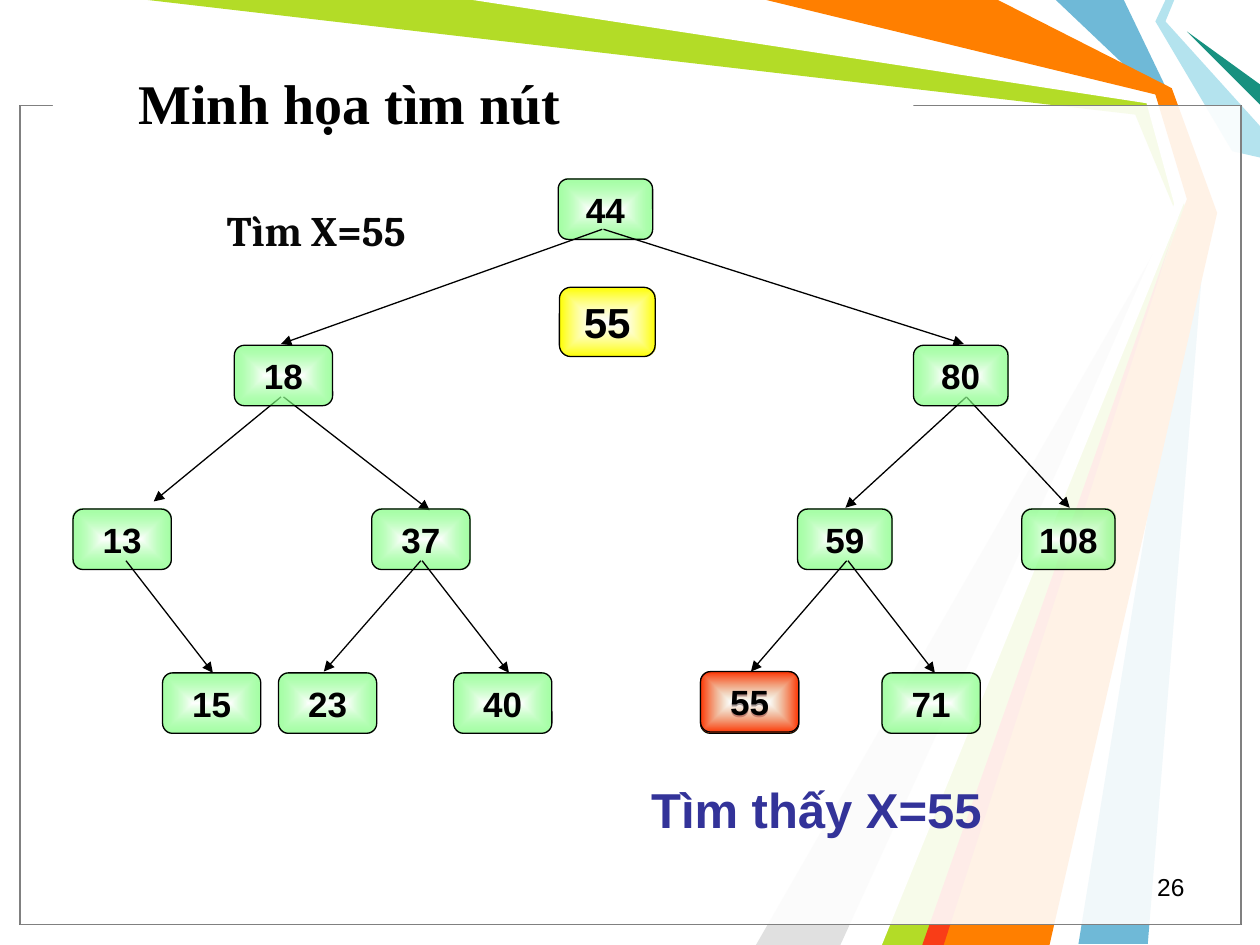
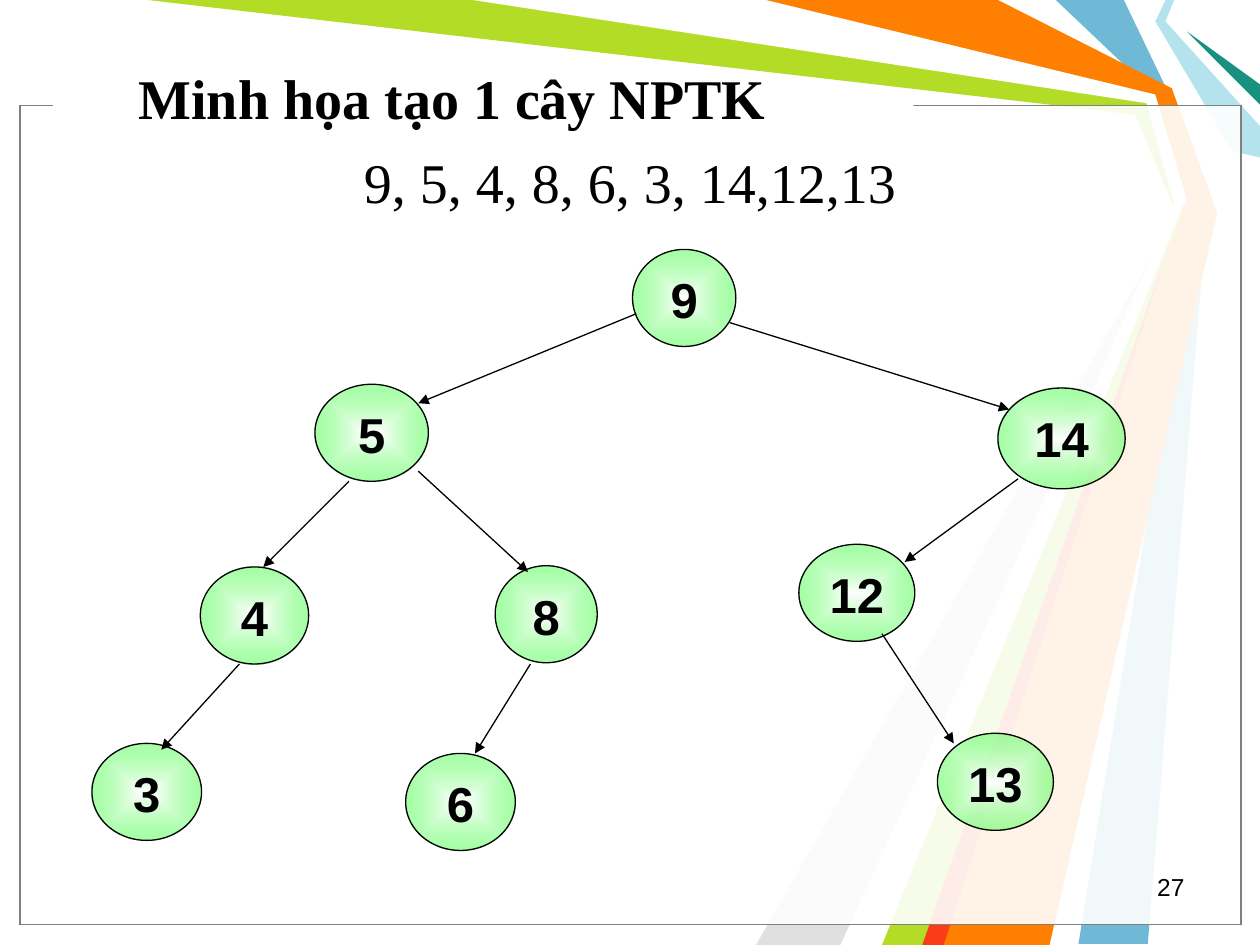
"""Build two slides that illustrate searching and building a binary search tree."""
from lxml import etree
from pptx import Presentation
from pptx.dml.color import RGBColor
from pptx.enum.shapes import MSO_CONNECTOR, MSO_SHAPE
from pptx.enum.text import MSO_ANCHOR, MSO_AUTO_SIZE, PP_ALIGN
from pptx.oxml.ns import qn
from pptx.util import Inches, Pt

LEFT, CENTER, RIGHT = PP_ALIGN.LEFT, PP_ALIGN.CENTER, PP_ALIGN.RIGHT
TOP, MIDDLE = MSO_ANCHOR.TOP, MSO_ANCHOR.MIDDLE
GROW, NO_FIT = MSO_AUTO_SIZE.SHAPE_TO_FIT_TEXT, MSO_AUTO_SIZE.NONE
RECT, BOX, OVAL = MSO_SHAPE.RECTANGLE, MSO_SHAPE.ROUNDED_RECTANGLE, MSO_SHAPE.OVAL
STRAIGHT = MSO_CONNECTOR.STRAIGHT

BLACK, WHITE, GRAY, INDIGO, INK = "000000", "FFFFFF", "808080", "333399", "080808"
SERIF, SANS, CAMBRIA = "Times New Roman", "Arial", "Cambria"

GREEN = ((WHITE, 100), ("69FF69", 60))
YELLOW = ((WHITE, 60), ("FFFF00", 100))
RED = ((WHITE, 60), ("FF3300", 100))

RIBBONS = [
    ("6FB9D7", [(8.92, 0), (9.29, 0.77), (9.58, 1.67), (9.11, 7.49), (8.56, 7.49),
                (9.5, 1.67), (9.17, 0.75), (8.38, 0)]),
    ("B3DC27", [(1.17, 0), (3.83, 0), (9.14, 0.78), (9.42, 1.69), (7.42, 7.5),
                (6.92, 7.5), (9.35, 1.73), (9.01, 0.91)]),
    ("E0E0E0", [(6.67, 7.5), (9.27, 1.81), (6, 7.5)]),
    (WHITE, [(3.75, 0), (9.1, 0.82), (9.32, 1.62), (6.75, 7.5), (7, 7.5),
             (9.41, 1.58), (9.17, 0.75), (6, 0)]),
    ("B4E3EE", [(9.25, 0), (9.17, 0.17), (9.78, 1.2), (10, 1.25), (10, 1),
                (9.25, 0.17), (9.32, 0)]),
    ("189180", [(10, 0.83), (9.42, 0.25), (10, 0.67)]),
    ("FF7F00", [(6.08, 0), (7.92, 0), (9.3, 0.7), (9.66, 1.69), (8.33, 7.5),
                (7.33, 7.5), (9.42, 1.58), (9.17, 0.75)]),
    ("F93D17", [(7.32, 7.5), (9.32, 1.83), (7.49, 7.5)]),
]
FRAME = (0.16, 0.84, 9.69, 6.5)
TITLE_GAP = (0.42, 0.74, 6.83, 0.17)
NUMBER_AT = (7.17, 6.87, 2.33, 0.33)

ROWS, BOX_H = (1.42, 2.74, 4.04, 5.34), 0.48
ROOT = [("44", 4.43, 0, 0.75)]
UPPER_EDGES = [
    (4.78, 1.82, 2.23, 2.73), (2.25, 3.15, 3.41, 4.05), (2.23, 3.15, 1.22, 3.98),
    (4.79, 1.82, 7.65, 2.73), (7.67, 3.15, 6.71, 4.03), (7.67, 3.15, 8.49, 4.03),
]
BRANCHES = [("18", 1.86, 1, 0.78), ("80", 7.25, 1, 0.75), ("13", 0.58, 2, 0.78),
            ("37", 2.95, 2, 0.78), ("59", 6.33, 2, 0.75), ("108", 8.11, 2, 0.74)]
LOWER_EDGES = [
    (3.35, 4.45, 4.04, 5.34), (3.34, 4.45, 2.57, 5.33), (6.73, 4.45, 7.42, 5.34),
    (6.72, 4.45, 5.96, 5.33), (1, 4.45, 1.69, 5.34),
]
LEAVES = [("15", 1.29, 3, 0.78), ("23", 2.21, 3, 0.78), ("40", 3.6, 3, 0.78),
          ("55", 5.56, 3, 0.78), ("71", 7, 3, 0.78)]
SEARCH_LAYERS = [(ROOT, UPPER_EDGES), (BRANCHES, LOWER_EDGES), (LEAVES, [])]

BUILT_NODES = [
    ("9", 5.02, 1.98, 0.82, 0.77), ("5", 2.5, 3.05, 0.9, 0.77),
    ("14", 7.92, 3.08, 1.01, 0.8), ("8", 3.93, 4.49, 0.81, 0.77),
    ("4", 1.59, 4.5, 0.86, 0.77), ("6", 3.22, 5.98, 0.87, 0.77),
    ("3", 0.73, 5.9, 0.87, 0.77), ("12", 6.34, 4.32, 0.92, 0.77),
    ("13", 7.44, 5.82, 0.92, 0.77),
]
BUILT_EDGES = [
    (5.05, 2.49, 3.32, 3.2), (5.79, 2.56, 8.01, 3.25), (3.32, 3.74, 4.19, 4.54),
    (2.77, 3.82, 2.09, 4.5), (4.21, 5.27, 3.77, 5.98), (1.9, 5.27, 1.28, 5.95),
    (8.08, 3.8, 7.18, 4.46), (7, 5.03, 7.57, 5.9),
]


def rgb(color):
    """Turn a hex string into a colour."""
    return RGBColor.from_string(color)


def inches(values):
    """Turn plain numbers into lengths."""
    return [Inches(v) for v in values]


def child(parent, tag, **attrs):
    """Append an XML element."""
    return etree.SubElement(parent, qn(tag), attrs)


def set_alpha(el, percents):
    """Give each colour found under an element its opacity."""
    for clr, percent in zip(el.iter(qn("a:srgbClr")), percents):
        if percent < 100:
            child(clr, "a:alpha", val=str(percent * 1000))


def set_line(line, color):
    """Draw a thin line, or none."""
    if color:
        line.color.rgb = rgb(color)
        line.width = Pt(0.75)
    else:
        line.fill.background()


def paint(sp, fill, alpha=100, line=None):
    """Set a solid fill and a line, without shadow."""
    sp.shadow.inherit = False
    sp.fill.solid()
    sp.fill.fore_color.rgb = rgb(fill)
    set_alpha(sp.element.spPr, [alpha])
    set_line(sp.line, line)


def glow(sp, stops):
    """Set a gradient that spreads from the centre."""
    sp.shadow.inherit = False
    sp.fill.gradient()
    for stop, (color, _) in zip(sp.fill.gradient_stops, stops):
        stop.color.rgb = rgb(color)
    grad = sp.element.spPr.find(qn("a:gradFill"))
    set_alpha(grad, [percent for _, percent in stops])
    grad.remove(grad.find(qn("a:lin")))
    centre = dict.fromkeys("ltrb", "50000")
    child(child(grad, "a:path", path="shape"), "a:fillToRect", **centre)
    set_line(sp.line, BLACK)


def write(sp, text, size, font=SANS, color=BLACK, bold=False, align=LEFT, anchor=TOP,
          before=0, spacing=None, fit=NO_FIT, inset=None):
    """Put formatted text into a shape."""
    tf = sp.text_frame
    tf.word_wrap, tf.auto_size, tf.vertical_anchor = True, fit, anchor
    if inset is not None:
        tf.margin_left = tf.margin_top = tf.margin_right = tf.margin_bottom = inset
    p = tf.paragraphs[0]
    p.alignment = align
    if spacing:
        p.line_spacing = spacing
    if before:
        ppr = p._p.get_or_add_pPr()
        child(child(ppr, "a:spcBef"), "a:spcPct", val=str(before * 1000))
    r = p.add_run()
    r.text = text
    r.font.name, r.font.size, r.font.bold = font, Pt(size), bold
    r.font.color.rgb = rgb(color)


def add_text(slide, at, text, size, **fmt):
    """Add a text box."""
    write(slide.shapes.add_textbox(*inches(at)), text, size, **fmt)


def add_node(slide, kind, at, text, size, stops=GREEN):
    """Add one tree node."""
    sp = slide.shapes.add_shape(kind, *inches(at))
    glow(sp, stops)
    write(sp, text, size, bold=True, align=CENTER, before=50, fit=GROW)


def add_edges(slide, edges):
    """Add arrows from parents to children."""
    for edge in edges:
        c = slide.shapes.add_connector(STRAIGHT, *inches(edge))
        set_line(c.line, BLACK)
        sppr = c.element.spPr
        child(sppr.find(qn("a:ln")), "a:tailEnd", type="triangle")
        child(sppr, "a:effectLst")


def add_backdrop(layout, slide):
    """Draw ribbons and frame, then hand them to the shared layout."""
    parts = []
    for color, points in RIBBONS:
        start, *rest = [inches(point) for point in points]
        builder = slide.shapes.build_freeform(*start)
        builder.add_line_segments(rest)
        sp = builder.convert_to_shape()
        paint(sp, color)
        parts.append(sp)
    for at, alpha, line in ((FRAME, 69, BLACK), (FRAME, 69, GRAY), (TITLE_GAP, 100, None)):
        sp = slide.shapes.add_shape(RECT, *inches(at))
        paint(sp, WHITE, alpha, line)
        parts.append(sp)
    for sp in parts:
        layout.shapes.element.append(sp.element)


def add_slide(prs, layout, title, at, number):
    """Add a slide with its title and number."""
    slide = prs.slides.add_slide(layout)
    sp = slide.shapes.title
    sp.left, sp.top, sp.width, sp.height = inches(at)
    write(sp, title, 32, font=SERIF, bold=True, anchor=MIDDLE)
    add_text(slide, NUMBER_AT, number, 14, align=RIGHT)
    return slide


def main():
    """Build and save the presentation."""
    prs = Presentation()
    prs.slide_width, prs.slide_height = inches((10, 7.5))
    layout = prs.slide_layouts[5]

    search = add_slide(prs, layout, "Minh họa tìm nút", (1, 0.5, 6.89, 0.62), "26")
    add_backdrop(layout, search)
    for nodes, edges in SEARCH_LAYERS:
        for text, x, row, w in nodes:
            add_node(search, BOX, (x, ROWS[row], w, BOX_H), text, 20)
        add_edges(search, edges)
    add_text(search, (1.7, 1.62, 1.62, 0.44), "Tìm X=55", 24, font=CAMBRIA, color=INK,
             bold=True, align=CENTER, inset=0)
    add_text(search, (5.07, 6.14, 3.47, 0.57), "Tìm thấy X=55", 28, color=INDIGO,
             bold=True, before=50, fit=GROW)
    add_node(search, BOX, (4.44, 2.28, 0.76, 0.55), "55", 24, YELLOW)
    add_node(search, BOX, (5.56, 5.33, 0.78, BOX_H), "55", 20, RED)

    build = add_slide(prs, layout, "Minh họa tạo 1 cây NPTK", (1, 0.42, 6.89, 0.7), "27")
    add_text(build, (2.79, 1.18, 5.5, 0.38), "9, 5, 4, 8, 6, 3, 14,12,13", 32, font=SERIF,
             before=20, spacing=0.9)
    for text, *at in BUILT_NODES:
        add_node(build, OVAL, at, text, 28)
    add_edges(build, BUILT_EDGES)

    prs.save("out.pptx")


if __name__ == "__main__":
    main()
